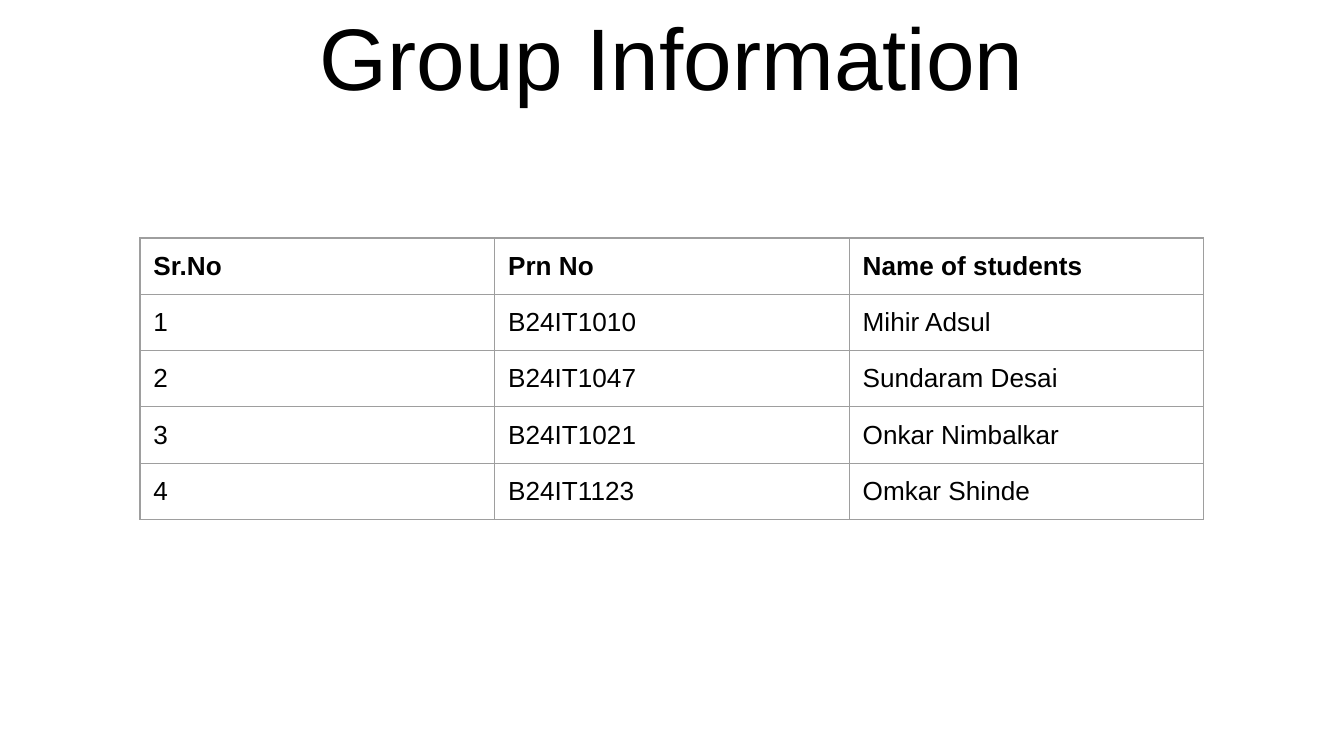
from lxml import etree
from pptx import Presentation
from pptx.dml.color import RGBColor
from pptx.enum.text import MSO_ANCHOR, MSO_AUTO_SIZE, PP_ALIGN
from pptx.oxml.ns import qn
from pptx.util import Pt

BOTTOM, TOP = MSO_ANCHOR.BOTTOM, MSO_ANCHOR.TOP
CENTER, LEFT = PP_ALIGN.CENTER, PP_ALIGN.LEFT
NO_FIT = MSO_AUTO_SIZE.NONE
COLORS = {"text": "000000", "grid": "9E9E9E"}
FONT = "Arial"
INSET = Pt(7.2)

ROWS = [
    ("Sr.No", "Prn No", "Name of students"),
    ("1", "B24IT1010", "Mihir Adsul"),
    ("2", "B24IT1047", "Sundaram Desai"),
    ("3", "B24IT1021", "Onkar Nimbalkar"),
    ("4", "B24IT1123", "Omkar Shinde"),
]
COL_W, ROW_H = 190, 30


def style(frame, size, bold, align):
    para = frame.paragraphs[0]
    para.alignment = align
    font = para.runs[0].font
    font.name, font.size, font.bold = FONT, Pt(size), bold
    font.color.rgb = RGBColor.from_string(COLORS["text"])


def border(cell):
    """Draw a thin line on all four sides of a cell, before its fill."""
    props = cell._tc.get_or_add_tcPr()
    for place, side in enumerate(("a:lnL", "a:lnR", "a:lnT", "a:lnB")):
        line = etree.Element(qn(side), w=str(Pt(0.75)))
        fill = etree.SubElement(line, qn("a:solidFill"))
        etree.SubElement(fill, qn("a:srgbClr"), val=COLORS["grid"])
        props.insert(place, line)


deck = Presentation()
deck.slide_width, deck.slide_height = Pt(720), Pt(405)
slide = deck.slides.add_slide(deck.slide_layouts[5])

title = slide.shapes.title
title.left, title.top = Pt(24.5), Pt(12.3)
title.width, title.height = Pt(671), Pt(52.5)
frame = title.text_frame
frame.text = "Group Information"
frame.auto_size = NO_FIT
frame.word_wrap = True
frame.vertical_anchor = BOTTOM
frame.margin_left = frame.margin_right = INSET
frame.margin_top = frame.margin_bottom = INSET
style(frame, 46.8, False, CENTER)

cols = len(ROWS[0])
table = slide.shapes.add_table(
    len(ROWS), cols, Pt(75), Pt(127.5),
    Pt(COL_W * cols), Pt(ROW_H * len(ROWS))).table
table.first_row = table.horz_banding = False
for col in table.columns:
    col.width = Pt(COL_W)

for r, row in enumerate(ROWS):
    table.rows[r].height = Pt(ROW_H)
    for c, text in enumerate(row):
        cell = table.cell(r, c)
        cell.text_frame.text = text
        cell.vertical_anchor = TOP
        cell.margin_left = cell.margin_right = INSET
        cell.margin_top = cell.margin_bottom = INSET
        cell.fill.background()
        border(cell)
        style(cell.text_frame, 14, r == 0, LEFT)

deck.save("out.pptx")
